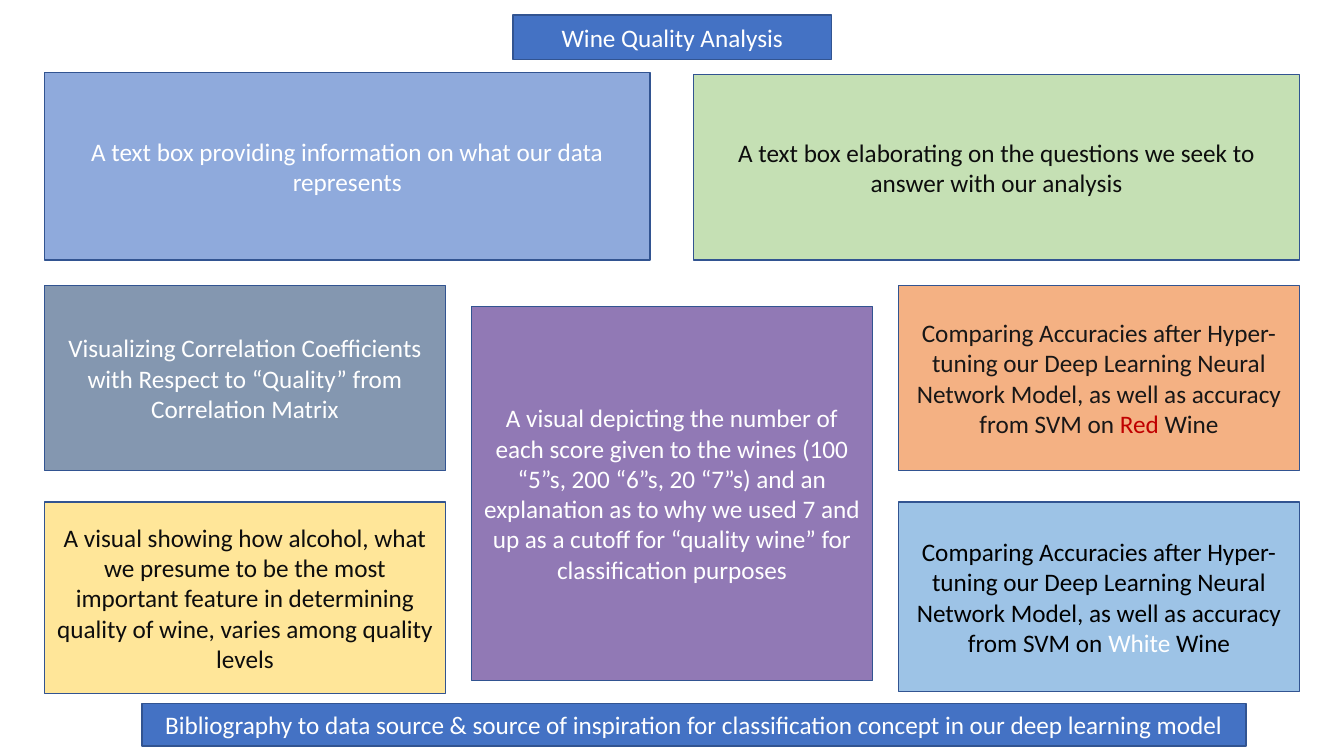
from pptx import Presentation
from pptx.dml.color import RGBColor
from pptx.enum.shapes import MSO_SHAPE as Kind
from pptx.enum.text import MSO_ANCHOR as Anchor, MSO_AUTO_SIZE as Fit, PP_ALIGN as Align
from pptx.util import Pt

WHITE = RGBColor(0xFF, 0xFF, 0xFF)
BLACK = RGBColor(0x00, 0x00, 0x00)
INK = RGBColor(0x0D, 0x0D, 0x0D)
DARK = RGBColor(0x18, 0x17, 0x17)
RED = RGBColor(0xC0, 0x00, 0x00)
EDGE = RGBColor(0x32, 0x54, 0x91)
BLUE = RGBColor(0x44, 0x72, 0xC4)
PALE = RGBColor(0x8F, 0xAA, 0xDC)
GREEN = RGBColor(0xC5, 0xE0, 0xB4)
SLATE = RGBColor(0x84, 0x97, 0xB0)
YELLOW = RGBColor(0xFF, 0xE6, 0x99)
PURPLE = RGBColor(0x91, 0x79, 0xB5)
ORANGE = RGBColor(0xF4, 0xB1, 0x83)
SKY = RGBColor(0x9D, 0xC3, 0xE6)

LEFT, WIDE, HALF = 31.7, 286.6, 432.7
COLS = [LEFT + 305 * i for i in range(3)]
UPPER, LOWER = 203.8, 358.6
MODEL = ("Comparing Accuracies after Hyper-tuning our Deep Learning Neural "
         "Network Model, as well as accuracy from SVM on ")


def style(box, fill, runs):
    """Paint a box and write its coloured runs, centred."""
    box.fill.solid()
    box.fill.fore_color.rgb = fill
    box.line.color.rgb = EDGE
    box.line.width = Pt(1)
    frame = box.text_frame
    frame.word_wrap = True
    frame.auto_size = Fit.NONE
    frame.vertical_anchor = Anchor.MIDDLE
    para = frame.paragraphs[0]
    para.alignment = Align.CENTER
    for text, color in runs:
        run = para.add_run()
        run.text = text
        run.font.name = "Calibri"
        run.font.size = Pt(18)
        run.font.color.rgb = color


def add_title(slide, area, fill, runs):
    """Move the title placeholder into place and style it."""
    title = slide.shapes.title
    title.left, title.top, title.width, title.height = map(Pt, area)
    style(title, fill, runs)


def add_box(slide, area, fill, runs):
    """Add a styled rectangle."""
    box = slide.shapes.add_shape(Kind.RECTANGLE, *map(Pt, area))
    box.shadow.inherit = False
    style(box, fill, runs)


def main():
    """Build the poster plan and save it."""
    deck = Presentation()
    deck.slide_width, deck.slide_height = Pt(960), Pt(540)
    slide = deck.slides.add_slide(deck.slide_layouts[5])
    add_title(slide, (366.5, 10.8, 227.5, 31.7), BLUE,
              [("Wine Quality Analysis", WHITE)])
    boxes = [
        ((LEFT, 51.8, HALF, 133.9), PALE,
         [("A text box providing information on what our data represents", WHITE)]),
        ((495.4, 53.3, HALF, 132.5), GREEN,
         [("A text box elaborating on the questions we seek to answer with "
           "our analysis", INK)]),
        ((COLS[0], UPPER, WIDE, 132.5), SLATE,
         [("Visualizing Correlation Coefficients with Respect to “Quality” "
           "from Correlation Matrix", WHITE)]),
        ((COLS[0], LOWER, WIDE, 136.8), YELLOW,
         [("A visual showing how alcohol, what we presume to be the most "
           "important feature in determining quality of wine, varies among "
           "quality levels", INK)]),
        ((COLS[1], 218.9, WIDE, 267.1), PURPLE,
         [("A visual depicting the number of each score given to the wines "
           "(100 “5”s, 200 “6”s, 20 “7”s) and an explanation as to why we "
           "used 7 and up as a cutoff for “quality wine” for classification "
           "purposes", WHITE)]),
        ((COLS[2], UPPER, WIDE, 132.5), ORANGE,
         [(MODEL, DARK), ("Red", RED), (" Wine", DARK)]),
        ((COLS[2], LOWER, WIDE, 135.4), SKY,
         [(MODEL, BLACK), ("White", WHITE), (" Wine", BLACK)]),
        ((101.5, 502.6, 788.4, 30.2), BLUE,
         [("Bibliography to data source & source of inspiration for "
           "classification concept in our deep learning model", WHITE)]),
    ]
    for area, fill, runs in boxes:
        add_box(slide, area, fill, runs)
    deck.save("out.pptx")


main()
